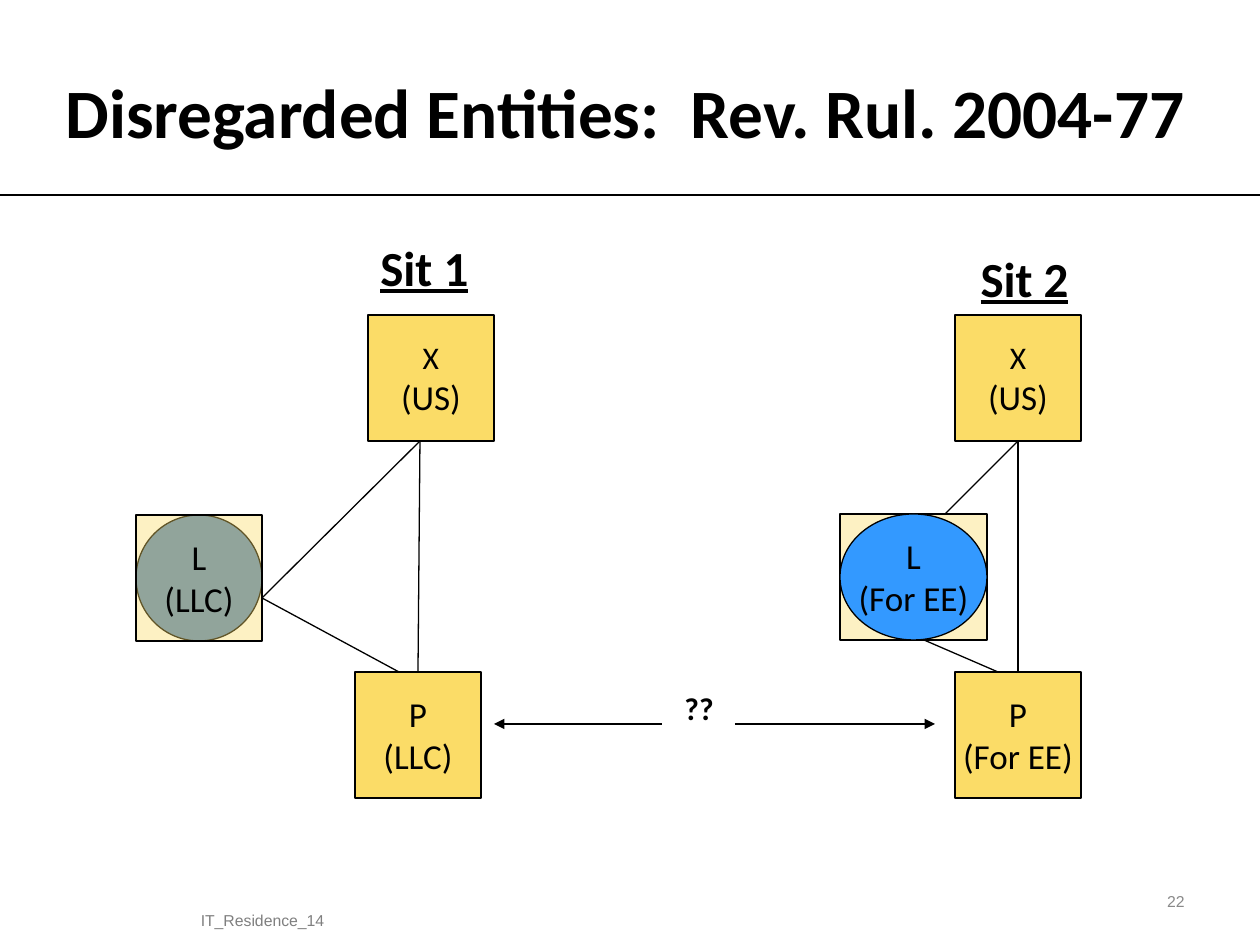
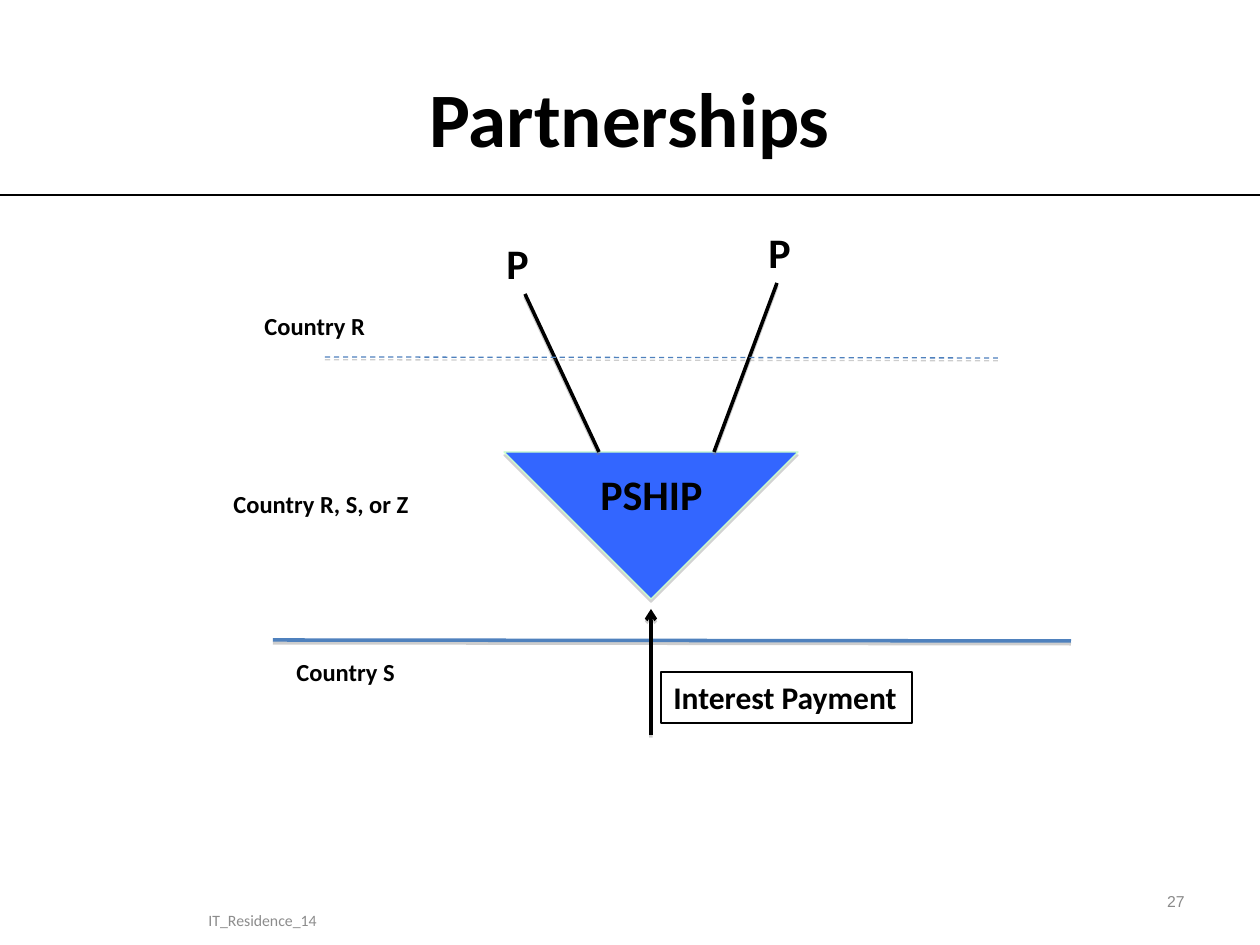
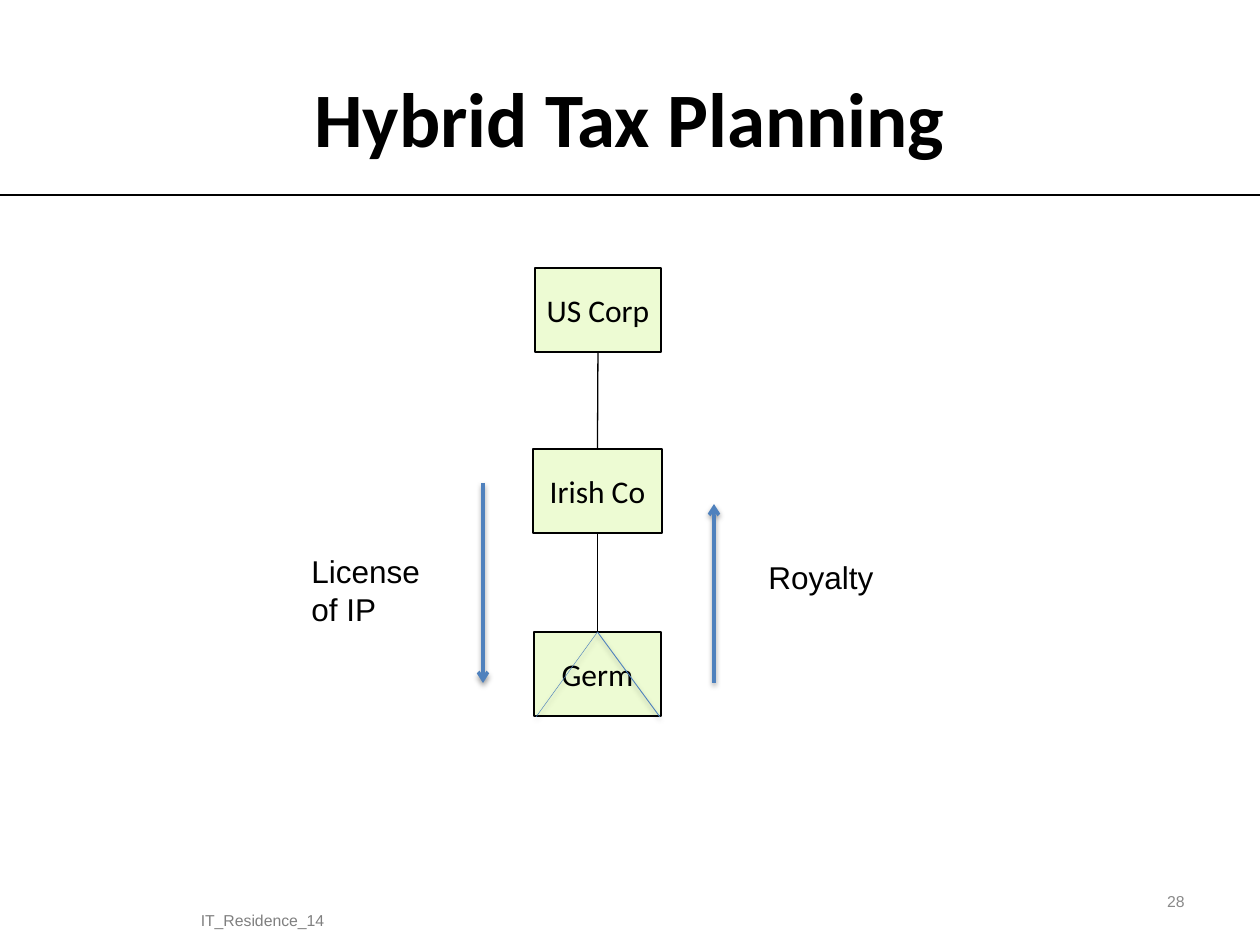
from lxml import etree
from pptx import Presentation
from pptx import util as u
from pptx.dml.color import RGBColor
from pptx.enum import dml, shapes, text
from pptx.oxml import parse_xml
from pptx.oxml.ns import nsdecls, qn

PX = 914400 / 126
COLORS = {
    "ink": "000000", "footer": "7F7F7F", "footer_light": "8C8C8C", "number": "898989",
    "gold": "FBDC67", "steel": "4F81BD", "sky": "3399FF", "royal": "3366FF",
    "mint": "CCFFCC", "lime": "EDFBD3", "gray": "808080",
}
GRAY_SHADOW = ("gray", 38, 0, 1.6)
BLACK_SHADOW = ("ink", 38, 3.1, 1.6)
TRIANGLE_SHADOW = ("gray", 35, 0, 1.8)
RECT = shapes.MSO_SHAPE.RECTANGLE
OVAL = shapes.MSO_SHAPE.OVAL
PROCESS = shapes.MSO_SHAPE.FLOWCHART_PROCESS
LEFT, CENTER, RIGHT = text.PP_ALIGN.LEFT, text.PP_ALIGN.CENTER, text.PP_ALIGN.RIGHT
TOP, MIDDLE = text.MSO_ANCHOR.TOP, text.MSO_ANCHOR.MIDDLE


def add_box(slide, kind, box, words="", size=20, fill=None, line="ink", align=CENTER,
            anchor=MIDDLE, bold=False, wrap=False, font="Calibri", color="ink", shadow=None):
    place = [round(value * PX) for value in box]
    if kind is None:
        shape = slide.shapes.add_textbox(*place)
    else:
        shape = slide.shapes.add_shape(kind, *place)
        shape.line.color.rgb = RGBColor.from_string(COLORS[line])
        shape.line.width = u.Pt(0.75)
        if fill:
            shape.fill.solid()
            shape.fill.fore_color.rgb = RGBColor.from_string(COLORS[fill])
        else:
            shape.fill.background()
    shape.shadow.inherit = False
    if shadow:
        tint, alpha, blur, distance = shadow
        shape._element.spPr.find(qn("a:effectLst")).append(parse_xml(
            SHADOW_XML.format(nsdecls("a"), u.Pt(blur), u.Pt(distance), COLORS[tint], alpha)))
    frame = shape.text_frame
    frame.word_wrap = wrap
    frame.vertical_anchor = anchor
    frame.text = words
    for paragraph in frame.paragraphs:
        paragraph.alignment = align
        paragraph.font.name = font
        paragraph.font.size = u.Pt(size)
        paragraph.font.bold = bold
        paragraph.font.color.rgb = RGBColor.from_string(COLORS[color])
    return shape


def add_line(slide, start, end, color="ink", width=0.75, arrow=None, shadow=None,
             begin=None, finish=None):
    connector = slide.shapes.add_connector(
        shapes.MSO_CONNECTOR.STRAIGHT, *[round(value * PX) for value in (*start, *end)])
    connector.line.color.rgb = RGBColor.from_string(COLORS[color])
    connector.line.width = u.Pt(width)
    if arrow:
        etree.SubElement(connector.line._get_or_add_ln(), qn("a:tailEnd"), type=arrow)
    effects = etree.SubElement(connector._element.spPr, qn("a:effectLst"))
    if shadow:
        tint, alpha, blur, distance = shadow
        effects.append(parse_xml(
            SHADOW_XML.format(nsdecls("a"), u.Pt(blur), u.Pt(distance), COLORS[tint], alpha)))
    if begin:
        connector.begin_connect(*begin)
    if finish:
        connector.end_connect(*finish)
    return connector


SHADOW_XML = (
    '<a:outerShdw {} blurRad="{}" dist="{}" dir="5400000" rotWithShape="0">'
    '<a:srgbClr val="{}"><a:alpha val="{}000"/></a:srgbClr></a:outerShdw>')

presentation = Presentation()
presentation.slide_width = round(1260 * PX)
presentation.slide_height = round(945 * PX)

pages = [
    ("Disregarded Entities:  Rev. Rul. 2004-77", 39.6, (32, 32, 1187, 158), "22", "Arial", "footer"),
    ("Partnerships", 44, (63, 38, 1134, 158), "27", "Calibri", "footer_light"),
    ("Hybrid Tax Planning", 44, (63, 38, 1134, 158), "28", "Arial", "footer"),
]
slides = []
for words, size, box, number, footer_font, footer_color in pages:
    slide = presentation.slides.add_slide(presentation.slide_layouts[5])
    add_line(slide, (0, 195), (1260, 195))
    title = slide.shapes.title
    title.left, title.top, title.width, title.height = [round(value * PX) for value in box]
    title.text_frame.text = words
    title.text_frame.vertical_anchor = MIDDLE
    paragraph = title.text_frame.paragraphs[0]
    paragraph.alignment = CENTER
    paragraph.font.name = "Calibri"
    paragraph.font.size = u.Pt(size)
    paragraph.font.bold = True
    paragraph.font.color.rgb = RGBColor.from_string(COLORS["ink"])
    add_box(slide, None, (63, 895, 399, 50), "IT_Residence_14", 9, wrap=True,
            font=footer_font, color=footer_color)
    add_box(slide, None, (903, 876, 294, 50), number, 9, align=RIGHT, wrap=True,
            font="Arial", color="number")
    slides.append(slide)
entities, partnerships, hybrid = slides

owners = []
for left in (368, 955):
    owner = add_box(entities, RECT, (left, 315, 126, 126), "X\n(US)", fill="gold")
    owner.text_frame.paragraphs[0].font.size = u.Pt(18)
    owners.append(owner)
payers = [
    add_box(entities, RECT, (left, 672, 126, 126), words, fill="gold")
    for left, words in ((355, "P\v(LLC)"), (955, "P\v(For EE)"))
]

add_box(entities, OVAL, (136, 515, 126, 126), fill="steel")
for box, words in (((136, 515, 126, 126), "L\n(LLC)"), ((840, 514, 147, 126), "")):
    veil = add_box(entities, RECT, box, words, fill="gold")
    veil_color = veil._element.spPr.find(qn("a:solidFill")).find(qn("a:srgbClr"))
    etree.SubElement(veil_color, qn("a:alpha"), val="39000")

add_line(entities, (420, 441), (262, 598))
add_line(entities, (420, 441), (418, 672))
add_line(entities, (262, 598), (399, 672))
add_line(entities, (1018, 441), (945, 514), begin=(owners[1], 2))
add_line(entities, (1018, 441), (1018, 672), begin=(owners[1], 2), finish=(payers[1], 0))
add_line(entities, (924, 640), (998, 672))
add_box(entities, OVAL, (840, 514, 147, 126), "L\n(For EE)", fill="sky")

for words, box, align in (("Sit 1", (368, 231, 115, 72), LEFT),
                          ("Sit 2", (966, 242, 115, 72), RIGHT)):
    heading = add_box(entities, None, box, words, 28, align=align, anchor=TOP, bold=True)
    heading.text_frame.paragraphs[0].font.underline = True
add_line(entities, (662, 724), (494, 724), arrow="triangle")
add_line(entities, (735, 724), (935, 724), arrow="triangle")
add_box(entities, None, (672, 683, 67, 63), "??", 18, align=LEFT, anchor=TOP, bold=True)

partnership = add_box(partnerships, shapes.MSO_SHAPE.ISOSCELES_TRIANGLE, (504, 452, 294, 147),
                      fill="royal", line="mint", shadow=TRIANGLE_SHADOW)
partnership._element.spPr.xfrm.set("flipV", "1")
add_line(partnerships, (273, 640), (1071, 641), "steel", 2, shadow=GRAY_SHADOW)
add_line(partnerships, (651, 735), (651, 609), width=2, arrow="arrow", shadow=GRAY_SHADOW)
add_line(partnerships, (599, 452), (525, 294), width=2, shadow=GRAY_SHADOW)
add_line(partnerships, (714, 452), (777, 283), width=2, shadow=GRAY_SHADOW)
border = add_line(partnerships, (325, 357), (998, 358), "steel", shadow=GRAY_SHADOW)
border.line.dash_style = dml.MSO_LINE.DASH
add_box(partnerships, RECT, (661, 672, 251, 51), "Interest Payment", 18,
        align=LEFT, anchor=TOP, bold=True)
for words, left, top, width in (("P", 494, 231, 48), ("P", 756, 220, 48),
                                ("PSHIP", 588, 462, 129)):
    add_box(partnerships, None, (left, top, width, 64), words, 24,
            align=LEFT, anchor=TOP, bold=True)
for words, left, top in (("Country R", 252, 305), ("Country R, S, or Z", 221, 483),
                         ("Country S", 284, 651)):
    add_box(partnerships, None, (left, top, 231, 43), words, 14,
            align=LEFT, anchor=TOP, bold=True, wrap=True)

parent, middle, branch = [
    add_box(hybrid, PROCESS, (left, top, width, 84), words, 18, fill="lime")
    for words, left, top, width in (("US Corp", 535, 268, 126), ("Irish Co", 533, 449, 129),
                                    ("Germ", 534, 632, 127))
]
add_line(hybrid, (598, 352), (597, 449), begin=(parent, 2), finish=(middle, 0))
add_line(hybrid, (598, 533), (597, 632), begin=(middle, 2), finish=(branch, 0))
for corner, width in ((536, 0.25), (660, 0.5)):
    add_line(hybrid, (597, 632), (corner, 717), "steel", width,
             shadow=BLACK_SHADOW, begin=(branch, 0))
for x, start, end in ((483, 483, 683), (714, 683, 504)):
    add_line(hybrid, (x, start), (x, end), "steel", 2, arrow="arrow", shadow=BLACK_SHADOW)
for words, box in (("License\nof IP", (299, 546, 135, 89)), ("Royalty", (756, 552, 131, 50))):
    add_box(hybrid, None, box, words, 18, align=LEFT, anchor=TOP, font="Arial")

presentation.save("out.pptx")
